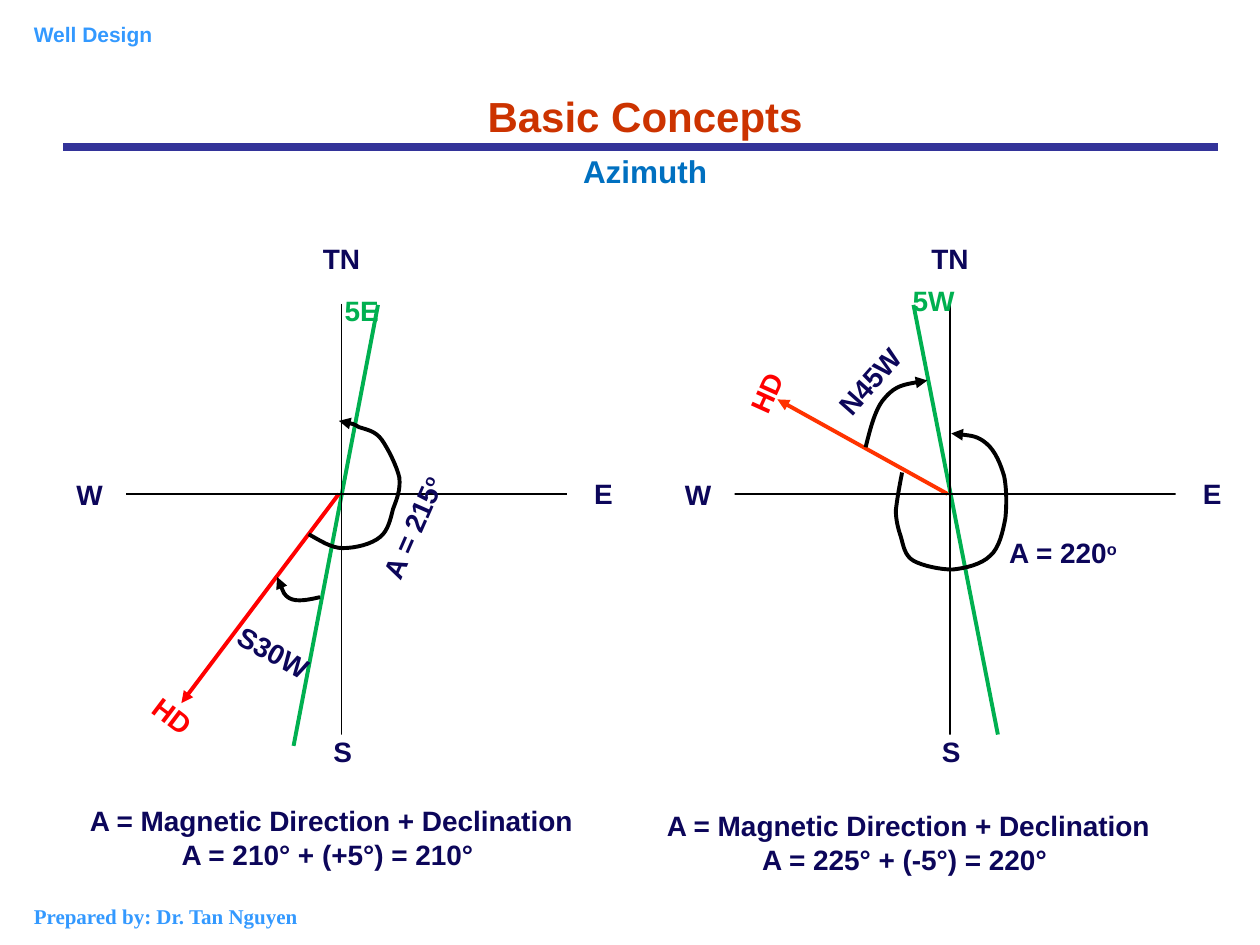
from dataclasses import dataclass

from lxml.etree import SubElement
from pptx import Presentation
from pptx.dml.color import RGBColor
from pptx.enum.shapes import MSO_CONNECTOR as Connector, MSO_SHAPE as Shape
from pptx.enum.text import MSO_ANCHOR as Anchor, MSO_AUTO_SIZE as AutoSize, PP_ALIGN as Align
from pptx.oxml.ns import qn
from pptx.util import Inches, Pt

COLORS = {
    "navy": "0C065A", "green": "00B050", "red": "FF0000", "orange": "FF3300",
    "black": "000000", "white": "FFFFFF", "rule": "333399",
    "title": "CC3300", "subtitle": "0070C0", "credit": "3399FF",
}
LABEL_HEIGHT = 0.27
Point = tuple[float, float]


@dataclass(frozen=True)
class Label:
    text: str
    left: float
    top: float
    width: float = 0.58
    rotation: float = 0
    color: str = "navy"
    align: Align = Align.CENTER
    superscript: str = ""


@dataclass(frozen=True)
class Ray:
    start: Point
    end: Point
    color: str
    arrow: bool = False


@dataclass(frozen=True)
class Compass:
    """One worked example; left is its distance from the first compass."""
    left: float
    rays: list[Ray]
    arcs: list[list[Point]]
    labels: list[Label]
    formula: Label


# Compass letters, placed for the first compass
CARDINALS = [
    Label("TN", 2.42, 1.92), Label("E", 4.5, 3.78),
    Label("W", 0.42, 3.79), Label("S", 2.43, 5.83),
]
# Each arc is a start point followed by three Bézier points per curve
COMPASSES = [
    Compass(
        left=0,
        rays=[Ray((3, 2.42), (2.33, 5.92), "green"),
              Ray((2.69, 3.92), (1.44, 5.58), "red", arrow=True)],
        arcs=[
            [(2.54, 4.74), (2.45, 4.76), (2.36, 4.78), (2.3, 4.75),
             (2.25, 4.72), (2.23, 4.65), (2.2, 4.58)],
            [(2.45, 4.24), (2.54, 4.29), (2.63, 4.35), (2.72, 4.35),
             (2.82, 4.35), (2.95, 4.32), (3.02, 4.26),
             (3.08, 4.21), (3.1, 4.12), (3.12, 4.04),
             (3.15, 3.96), (3.18, 3.89), (3.17, 3.79),
             (3.15, 3.7), (3.08, 3.56), (3.03, 3.49),
             (2.98, 3.42), (2.91, 3.41), (2.85, 3.39),
             (2.8, 3.36), (2.74, 3.35), (2.69, 3.34)],
        ],
        labels=[
            Label("5E", 2.58, 2.33, color="green"),
            Label("S30W", 1.85, 5.04, 0.64, 28.9),
            Label("A = 215", 2.8, 3.98, 1.01, 293.8, align=Align.LEFT, superscript="o"),
            Label("HD", 1.08, 5.55, rotation=37.1, color="red"),
        ],
        formula=Label("A = Magnetic Direction + Declination\nA = 210° + (+5°) = 210° ",
                      0.67, 6.38, 3.92),
    ),
    Compass(
        left=4.83,
        rays=[Ray((7.25, 2.42), (7.92, 5.83), "green"),
              Ray((7.52, 3.92), (6.17, 3.17), "orange", arrow=True)],
        arcs=[
            [(6.87, 3.55), (6.91, 3.39), (6.95, 3.23), (7.03, 3.15),
             (7.11, 3.06), (7.23, 3.04), (7.36, 3.02)],
            [(7.16, 3.75), (7.14, 3.85), (7.12, 3.96), (7.11, 4.05),
             (7.11, 4.13), (7.13, 4.2), (7.15, 4.26),
             (7.17, 4.33), (7.18, 4.41), (7.25, 4.45),
             (7.32, 4.49), (7.46, 4.52), (7.56, 4.52),
             (7.66, 4.51), (7.79, 4.48), (7.86, 4.41),
             (7.93, 4.35), (7.96, 4.22), (7.98, 4.11),
             (7.99, 4.01), (7.99, 3.88), (7.97, 3.78),
             (7.94, 3.68), (7.9, 3.58), (7.83, 3.52),
             (7.76, 3.46), (7.66, 3.45), (7.55, 3.44)],
        ],
        labels=[
            Label("5W", 7.12, 2.25, color="green"),
            Label("A = 220", 8.01, 4.25, 1.01, align=Align.LEFT, superscript="o"),
            Label("HD", 5.79, 2.98, rotation=294.3, color="red"),
            Label("N45W", 6.58, 2.89, 0.64, 311.6),
        ],
        formula=Label("A = Magnetic Direction + Declination\nA = 225° + (-5°) = 220° ",
                      5.25, 6.42, 3.92),
    ),
]


def rgb(color: str) -> RGBColor:
    return RGBColor.from_string(COLORS[color])


def write_text(shape, text: str, *, size: float = 16, color: str = "navy",
               font: str = "Arial", align: Align = Align.LEFT,
               inset: Point = (0, 0), superscript: str = "") -> None:
    frame = shape.text_frame
    frame.word_wrap = True
    frame.auto_size = AutoSize.NONE
    frame.vertical_anchor = Anchor.TOP
    frame.margin_left = frame.margin_right = Inches(inset[0])
    frame.margin_top = frame.margin_bottom = Inches(inset[1])
    frame.text = text
    if superscript:
        raised = frame.paragraphs[-1].add_run()
        raised.text = superscript
        raised._r.get_or_add_rPr().set("baseline", "30000")
    for paragraph in frame.paragraphs:
        paragraph.alignment = align
        for run in paragraph.runs:
            run.font.name, run.font.size, run.font.bold = font, Pt(size), True
            run.font.color.rgb = rgb(color)


def style_line(shape, color: str, width: float, arrow: bool) -> None:
    shape.line.color.rgb = rgb(color)
    shape.line.width = Pt(width)
    if arrow:
        SubElement(shape.line._get_or_add_ln(), qn("a:tailEnd"), type="triangle")


def draw_line(shapes, start: Point, end: Point, color: str, width: float,
              arrow: bool = False) -> None:
    line = shapes.add_connector(Connector.STRAIGHT, *map(Inches, (*start, *end)))
    style_line(line, color, width, arrow)
    SubElement(line._element.spPr, qn("a:effectLst"))


def bend_segments(outline) -> None:
    """Turn each three straight segments into one cubic Bézier curve."""
    segments = list(outline._element.iter(qn("a:lnTo")))
    for first in range(0, len(segments), 3):
        bezier = SubElement(segments[first].getparent(), qn("a:cubicBezTo"))
        for segment in segments[first:first + 3]:
            bezier.append(segment[0])
            segment.getparent().remove(segment)


def draw_arc(shapes, arc: list[Point]) -> None:
    builder = shapes.build_freeform(*map(Inches, arc[0]))
    builder.add_line_segments([(Inches(x), Inches(y)) for x, y in arc[1:]], close=False)
    curve = builder.convert_to_shape()
    bend_segments(curve)
    curve.shadow.inherit = False
    curve.fill.background()
    style_line(curve, "black", 2.25, arrow=True)


def draw_label(shapes, label: Label, shift: float = 0, height: float = LABEL_HEIGHT,
               filled: bool = False) -> None:
    area = map(Inches, (label.left + shift, label.top, label.width, height))
    if filled:
        box = shapes.add_shape(Shape.RECTANGLE, *area)
        box.shadow.inherit = False
        box.fill.solid()
        box.fill.fore_color.rgb = rgb("white")
        box.line.fill.background()
    else:
        box = shapes.add_textbox(*area)
    box.rotation = label.rotation
    write_text(box, label.text, color=label.color, align=label.align,
               superscript=label.superscript)


def draw_compass(shapes, compass: Compass) -> None:
    draw_label(shapes, compass.formula, height=0.53)
    for ray in compass.rays:
        draw_line(shapes, ray.start, ray.end, ray.color, 2.25, ray.arrow)
    x = compass.left
    draw_line(shapes, (2.71 + x, 2.41), (2.71 + x, 5.91), "black", 0.75)
    draw_line(shapes, (0.83 + x, 3.92), (4.58 + x, 3.92), "black", 0.75)
    for arc in compass.arcs:
        draw_arc(shapes, arc)
    for cardinal in CARDINALS:
        draw_label(shapes, cardinal, shift=x, filled=True)
    for label in compass.labels:
        draw_label(shapes, label)


def main() -> None:
    deck = Presentation()
    deck.slide_width, deck.slide_height = Inches(10), Inches(7.5)
    slide = deck.slides.add_slide(deck.slide_layouts[5])
    shapes = slide.shapes

    title = shapes.title
    title.left, title.top, title.width, title.height = map(Inches, (2.33, 0.67, 5.58, 0.5))
    padded = {"inset": (0.1, 0.05)}
    write_text(title, "Basic Concepts", size=24, color="title", align=Align.CENTER, **padded)
    draw_line(shapes, (0.5, 1.17), (9.67, 1.17), "rule", 4.5)

    subtitle = shapes.add_textbox(*map(Inches, (2.33, 1.16, 5.58, 0.4)))
    write_text(subtitle, "Azimuth", size=18, color="subtitle", align=Align.CENTER, **padded)
    header = shapes.add_textbox(*map(Inches, (0.17, 0.12, 5.33, 0.3)))
    write_text(header, "Well Design", size=12, color="credit", **padded)
    footer = shapes.add_textbox(*map(Inches, (0.17, 7.12, 2.42, 0.3)))
    write_text(footer, "Prepared by: Dr. Tan Nguyen", size=12, color="credit",
               font="Times New Roman", **padded)

    for compass in COMPASSES:
        draw_compass(shapes.add_group_shape().shapes, compass)
    deck.save("out.pptx")


if __name__ == "__main__":
    main()
